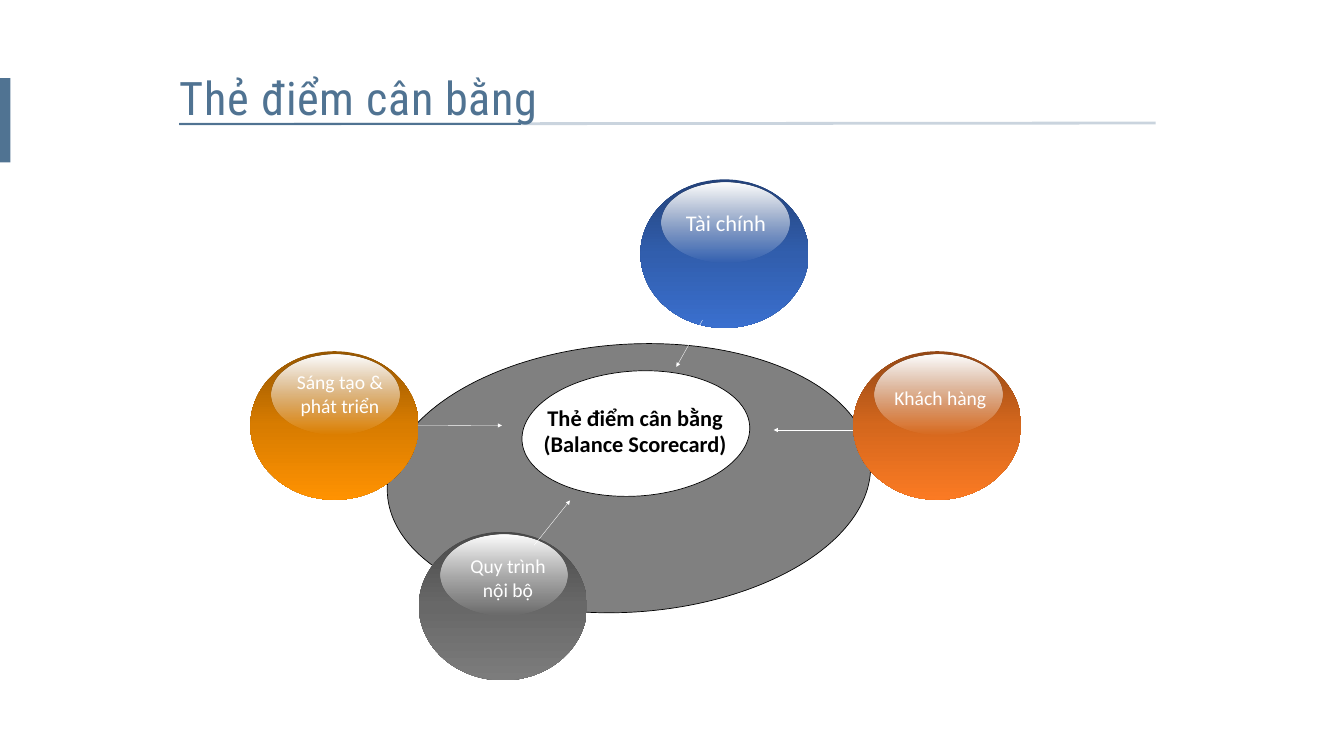
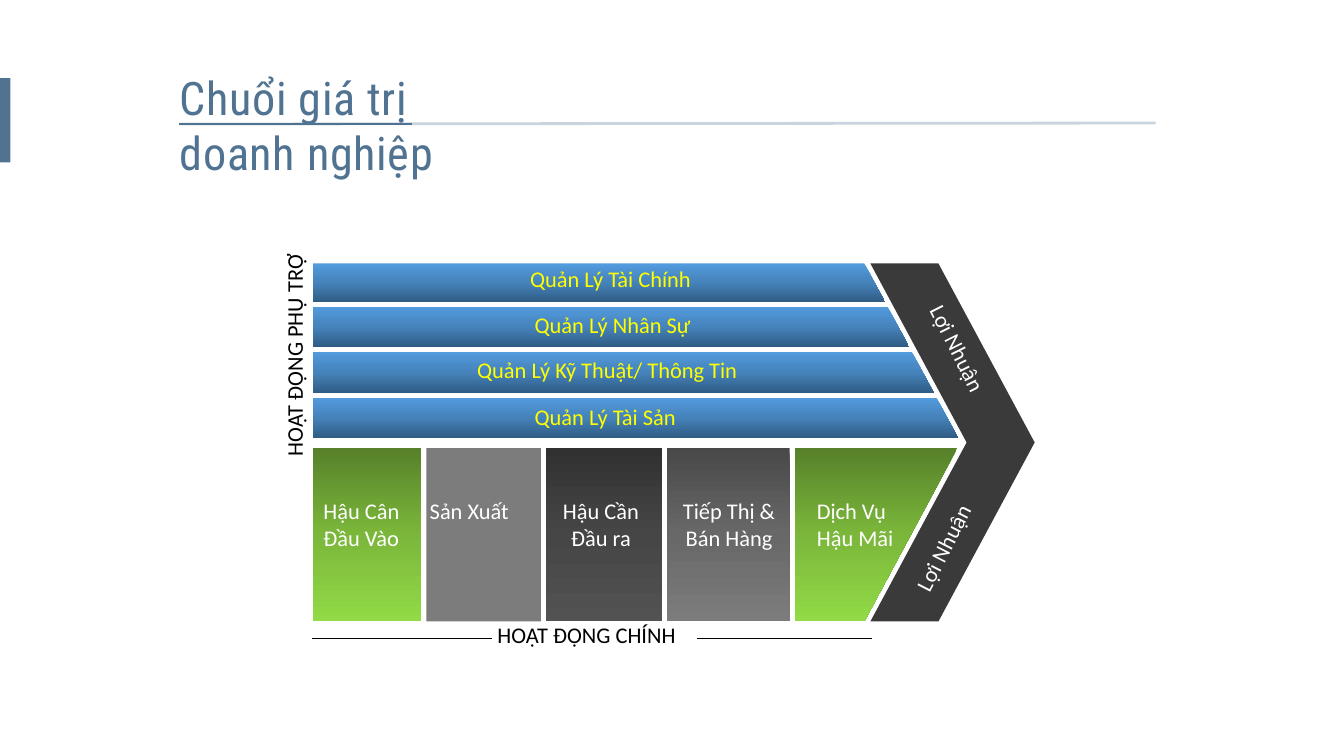
import pptx
import pptx.util
import pptx.dml.color
import pptx.enum.shapes
import pptx.enum.text
import pptx.oxml
import pptx.oxml.ns

Cm = pptx.util.Cm
Pt = pptx.util.Pt
SHAPE = pptx.enum.shapes.MSO_SHAPE
ALIGN = pptx.enum.text.PP_ALIGN

SLATE, WHITE, BLACK, YELLOW = "507392", "FFFFFF", "000000", "FFFF00"
BLUE = ("23427A", "315EAD", "3A6FCE")
GREY = ("494949", "686868", "7C7C7C")
AMBER = ("985700", "D87C00", "FF9201")
ORANGE = ("954815", "D4671D", "FB7A23")
GREEN = ("57812A", "7BB73B", "92DA46")
CHARCOAL = ("313131", "464646", "525252")
STEEL = ("529BDE", "4583BB", "305C84")
GLOSS_ALPHA = (100, 49, 0)


def color(hex_string):
    return pptx.dml.color.RGBColor.from_string(hex_string)


def element(tag, **attributes):
    item = pptx.oxml.parse_xml(f"<a:{tag} {pptx.oxml.ns.nsdecls('a')}/>")
    for name, value in attributes.items():
        item.set(name, str(value))
    return item


def gradient(colors, alphas):
    """Three-stop fill running from top to bottom."""
    fill = element("gradFill", rotWithShape=1)
    stops = element("gsLst")
    for position, value, alpha in zip((0, 50, 100), colors, alphas):
        stop = element("gs", pos=position * 1000)
        tint = element("srgbClr", val=value)
        if alpha < 100:
            tint.append(element("alpha", val=alpha * 1000))
        stop.append(tint)
        stops.append(stop)
    fill.append(stops)
    fill.append(element("lin", ang=5400000, scaled=0))
    return fill


class Builder:
    def __init__(self):
        self.deck = pptx.Presentation()
        self.deck.slide_width, self.deck.slide_height = Cm(67.74), Cm(38.1)
        self.page = None

    def new_page(self, title, width, height, underline_end):
        self.page = self.deck.slides.add_slide(self.deck.slide_layouts[5])
        box = self.page.shapes.title
        box.left, box.top, box.width, box.height = Cm(8.81), Cm(3.35), Cm(width), Cm(height)
        self.set_words(box, title, 66, SLATE, ALIGN.LEFT, font="Roboto Condensed")
        for properties in box.element.iter(pptx.oxml.ns.qn("a:rPr")):
            properties.set("spc", "100")
        self.line((9.04, 6.25), (58.24, 6.2), SLATE, 4, alpha=30)
        self.line((9.04, 6.25), (underline_end, 6.25), SLATE, 4)
        self.shape(SHAPE.RECTANGLE, 0, 3.94, 0.53, 4.24, SLATE)

    def set_words(self, box, words, size, ink, align, bold=False, font="Calibri"):
        frame = box.text_frame
        frame.text = words
        frame.word_wrap = True
        frame.auto_size = pptx.enum.text.MSO_AUTO_SIZE.NONE
        frame.vertical_anchor = pptx.enum.text.MSO_ANCHOR.TOP
        for para in frame.paragraphs:
            para.alignment = align
            for span in para.runs:
                span.font.name, span.font.size, span.font.bold = font, Pt(size), bold
                span.font.color.rgb = color(ink)

    def text(self, words, left, top, width, height, size=32, ink=WHITE,
             align=ALIGN.LEFT, bold=False, turn=0):
        box = self.page.shapes.add_textbox(Cm(left), Cm(top), Cm(width), Cm(height))
        box.rotation = turn
        self.set_words(box, words, size, ink, align, bold)

    def paint(self, item, fill, outline=None, alphas=(100, 100, 100)):
        item.shadow.inherit = False
        if isinstance(fill, str):
            item.fill.solid()
            item.fill.fore_color.rgb = color(fill)
        else:
            item.fill.background()
            properties = item.element.spPr
            empty = properties.find(pptx.oxml.ns.qn("a:noFill"))
            properties.replace(empty, gradient(fill, alphas))
        if outline:
            item.line.color.rgb = color(outline)
            item.line.width = Pt(1)
        else:
            item.line.fill.background()

    def shape(self, kind, left, top, width, height, fill, turn=0, **style):
        item = self.page.shapes.add_shape(kind, Cm(left), Cm(top), Cm(width), Cm(height))
        item.rotation = turn
        self.paint(item, fill, **style)

    def outline(self, points, fill):
        corners = [(Cm(x), Cm(y)) for x, y in points]
        builder = self.page.shapes.build_freeform(*corners[0])
        builder.add_line_segments(corners[1:], close=True)
        self.paint(builder.convert_to_shape(), fill)

    def line(self, start, end, ink, weight, alpha=100, arrow=False):
        item = self.page.shapes.add_connector(
            pptx.enum.shapes.MSO_CONNECTOR.STRAIGHT,
            Cm(start[0]), Cm(start[1]), Cm(end[0]), Cm(end[1]))
        item.line.color.rgb = color(ink)
        item.line.width = Pt(weight)
        properties = item.element.spPr
        stroke = properties.find(pptx.oxml.ns.qn("a:ln"))
        if alpha < 100:
            tint = next(stroke.iter(pptx.oxml.ns.qn("a:srgbClr")))
            tint.append(element("alpha", val=alpha * 1000))
        if arrow:
            stroke.append(element("headEnd", type="triangle"))
        properties.append(element("effectLst"))

    def sphere(self, left, top, colors):
        self.shape(SHAPE.OVAL, left, top, 8.48, 7.49, colors)
        self.shape(SHAPE.OVAL, left + 1.08, top + 0.16, 6.43, 4.04, (WHITE,) * 3,
                   alphas=GLOSS_ALPHA)


def scorecard(build):
    build.new_page("Thẻ điểm cân bằng", 22.1, 3.07, 26.26)

    # Tilted disk and its centre
    build.shape(SHAPE.OVAL, 19.5, 17.35, 24.4, 13.5, "808080", turn=-3.8, outline=BLACK)
    build.shape(SHAPE.OVAL, 26.3, 18.7, 11.5, 6.3, WHITE, turn=-3.8, outline=BLACK)

    # Four perspectives
    for left, top, colors in ((32.28, 9.04, BLUE), (21.11, 26.8, GREY),
                              (12.62, 17.7, AMBER), (43, 17.7, ORANGE)):
        build.sphere(left, top, colors)

    # Arrows, each with its head at the centre
    for head, tail in (((34.09, 18.49), (35.41, 16.13)), ((38.99, 21.67), (43, 21.67)),
                       ((25.3, 21.44), (21.06, 21.46)), ((28.73, 25.22), (26.92, 27.48))):
        build.line(head, tail, WHITE, 0.5, arrow=True)

    # Labels
    for words, left, top, width, height, size in (
            ("Tài chính", 32.74, 10.39, 7.7, 1.78, 32),
            ("Khách hàng", 43.54, 19.3, 7.7, 1.57, 28),
            ("Quy trình\nnội bộ", 22.66, 27.81, 5.89, 2.64, 28),
            ("Sáng tạo &\nphát triển", 13.28, 18.54, 7.7, 2.9, 28)):
        build.text(words, left, top, width, height, size, align=ALIGN.CENTER)
    build.text("Thẻ điểm cân bằng\n(Balance Scorecard)", 26.39, 20.22, 11.25, 3.25,
               ink=BLACK, align=ALIGN.CENTER, bold=True)


def value_chain(build):
    build.new_page("Chuổi giá trị doanh nghiệp", 16.05, 5.89, 20.78)
    left, top, bottom = 15.77, 13.28, 31.32
    middle = (top + bottom) / 2
    depth, thickness, notch = 4.85, 3.43, 43.87

    def slanted_edge(y):
        return 43.56 + depth * min(y - top, bottom - y) / (middle - top)

    # Profit chevron
    build.outline([(notch, top), (notch + thickness, top),
                   (notch + thickness + depth, middle), (notch + thickness, bottom),
                   (notch, bottom), (notch + depth, middle)], "3A3A3A")

    # Support activities
    for words, bar_top, height, text_left, text_top, text_width in (
            ("Quản Lý Tài Chính", 13.28, 1.93, 26.47, 13.26, 9.47),
            ("Quản Lý Nhân Sự", 15.47, 2.01, 26.7, 15.57, 10.72),
            ("Quản Lý Kỹ Thuật/ Thông Tin", 17.73, 2.06, 23.8, 17.81, 17.17),
            ("Quản Lý Tài Sản", 20.04, 2.01, 26.7, 20.19, 8.66)):
        base = bar_top + height
        build.outline([(left, bar_top), (slanted_edge(bar_top), bar_top),
                       (slanted_edge(base), base), (left, base)], STEEL)
        build.text(words, text_left, text_top, text_width, 1.63, ink=YELLOW)

    # Primary activities
    stage_top = 22.58
    for stage_left, width, fill in ((left, 5.44, GREEN), (21.49, 5.77, "7C7C7C"),
                                    (27.53, 5.84, CHARCOAL), (33.63, 6.17, GREY)):
        build.shape(SHAPE.RECTANGLE, stage_left, stage_top, width, bottom - stage_top, fill)
    build.outline([(40.08, stage_top), (slanted_edge(stage_top), stage_top),
                   (slanted_edge(bottom), bottom), (40.08, bottom)], GREEN)
    for words, text_left, width, align in (
            ("Hậu Cân Đầu Vào", 16.05, 5.05, ALIGN.LEFT),
            ("Sản Xuất", 21.41, 6.27, ALIGN.LEFT),
            ("Hậu Cần Đầu ra", 27.28, 6.02, ALIGN.CENTER),
            ("Tiếp Thị & Bán Hàng", 33.43, 6.63, ALIGN.CENTER),
            ("Dịch Vụ Hậu Mãi", 40.92, 4.52, ALIGN.LEFT)):
        build.text(words, text_left, 24.94, width, 3, align=align)

    # Profit and group labels
    build.text("Lợi Nhuận", 45.39, 17.22, 6.25, 1.63, turn=63.3)
    build.text("Lợi Nhuận", 44.58, 26.21, 6.5, 1.63, turn=297.1)
    build.text("HOẠT ĐỘNG PHỤ TRỢ", 9.25, 16.84, 11.15, 1.63, ink=BLACK, turn=270)
    build.text("HOẠT ĐỘNG CHÍNH", 24.82, 31.19, 10.64, 1.63, ink=BLACK)
    for start, end in ((15.75, 24.82), (35.13, 43.97)):
        build.line((start, 32.16), (end, 32.16), BLACK, 0.5)


def main():
    build = Builder()
    scorecard(build)
    value_chain(build)
    build.deck.save("out.pptx")


if __name__ == "__main__":
    main()
